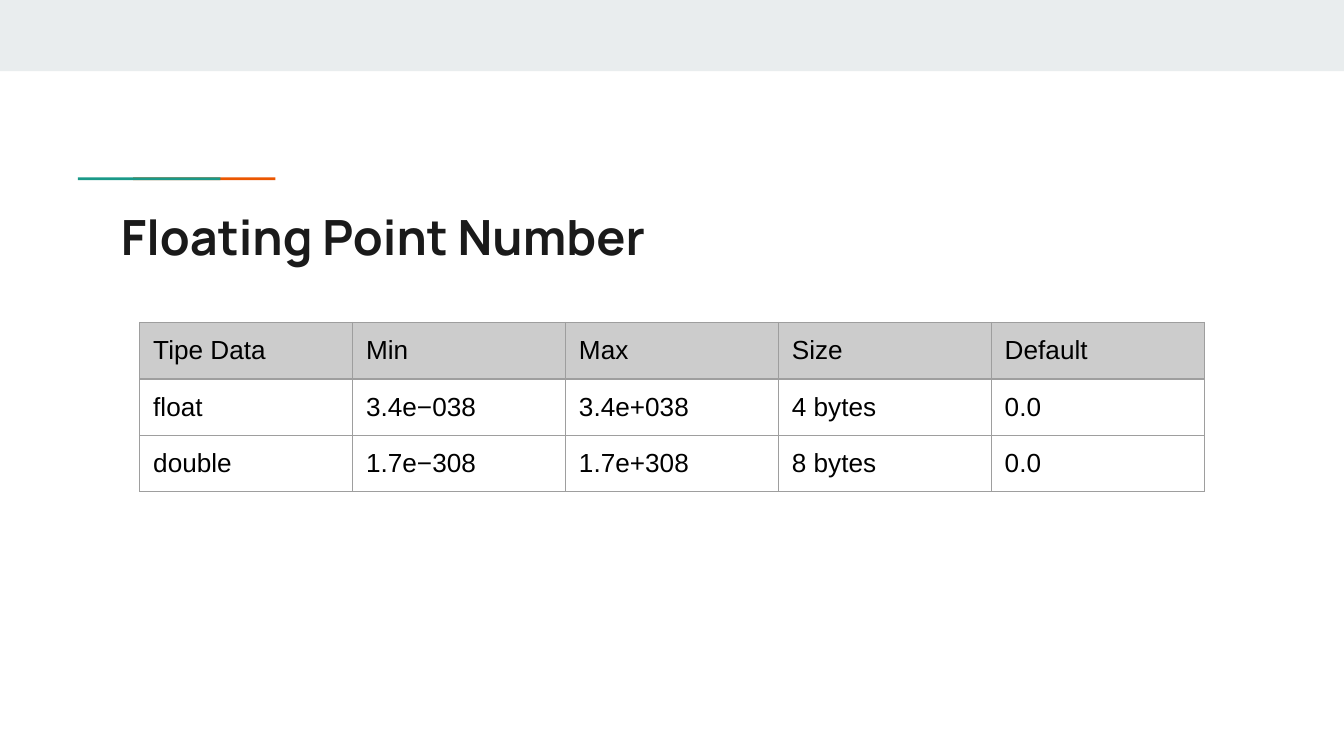
"""Build a slide with a table of floating point number types."""
import pptx
import pptx.dml.color
import pptx.enum.shapes
import pptx.enum.text
import pptx.oxml
import pptx.oxml.ns
import pptx.util

Inches = pptx.util.Inches
Pt = pptx.util.Pt

COLORS = {
    "band": "E9EDEE",
    "orange": "EB5600",
    "green": "1A9988",
    "title": "1A1A1A",
    "text": "000000",
    "header": "CCCCCC",
    "border": "9E9E9E",
}

TYPES = [
    ["Tipe Data", "Min", "Max", "Size", "Default"],
    ["float", "3.4e−038", "3.4e+038", "4 bytes", "0.0"],
    ["double", "1.7e−308", "1.7e+308", "8 bytes", "0.0"],
]


class SlideBuilder:
    def __init__(self, slide):
        self.slide = slide
        self.inset = Inches(0.1)
        self.border_width = Pt(0.75)

    def color(self, name):
        return pptx.dml.color.RGBColor.from_string(COLORS[name])

    def set_insets(self, owner):
        owner.margin_left = owner.margin_right = self.inset
        owner.margin_top = owner.margin_bottom = self.inset

    def add_run(self, paragraph, text, font, size, color, bold=False):
        run = paragraph.add_run()
        run.text = text
        run.font.name = font
        run.font.size = Pt(size)
        run.font.bold = bold
        run.font.color.rgb = self.color(color)

    def bar(self, left, top, width, height, color):
        bar = self.slide.shapes.add_shape(
            pptx.enum.shapes.MSO_SHAPE.RECTANGLE,
            Inches(left), Inches(top), Inches(width), Inches(height))
        bar.shadow.inherit = False
        bar.fill.solid()
        bar.fill.fore_color.rgb = self.color(color)
        bar.line.fill.background()

    def title(self, text, left, top, width, height):
        title = self.slide.shapes.title
        title.left, title.top = Inches(left), Inches(top)
        title.width, title.height = Inches(width), Inches(height)
        frame = title.text_frame
        frame.word_wrap = True
        frame.auto_size = pptx.enum.text.MSO_AUTO_SIZE.NONE
        frame.vertical_anchor = pptx.enum.text.MSO_ANCHOR.TOP
        self.set_insets(frame)
        paragraph = frame.paragraphs[0]
        paragraph.alignment = pptx.enum.text.PP_ALIGN.LEFT
        paragraph.line_spacing = 1.0
        paragraph.space_before = Pt(0)
        self.add_run(paragraph, text, "Manrope", 26, "title", bold=True)

    def outline_cell(self, cell):
        properties = cell._tc.get_or_add_tcPr()
        for position, side in enumerate(("lnL", "lnR", "lnT", "lnB")):
            border = pptx.oxml.parse_xml(
                f'<a:{side} {pptx.oxml.ns.nsdecls("a")} w="{self.border_width}">'
                f'<a:solidFill><a:srgbClr val="{COLORS["border"]}"/></a:solidFill>'
                f'</a:{side}>')
            properties.insert(position, border)

    def table(self, rows, left, top, width, row_height):
        columns = len(rows[0])
        table = self.slide.shapes.add_table(
            len(rows), columns, Inches(left), Inches(top),
            Inches(width), Inches(row_height * len(rows))).table
        table.horz_banding = False
        table.first_row = False
        for column in table.columns:
            column.width = Inches(width / columns)
        for row_index, values in enumerate(rows):
            table.rows[row_index].height = Inches(row_height)
            for column_index, value in enumerate(values):
                cell = table.cell(row_index, column_index)
                self.set_insets(cell)
                if row_index == 0:
                    cell.fill.solid()
                    cell.fill.fore_color.rgb = self.color("header")
                else:
                    cell.fill.background()
                self.outline_cell(cell)
                self.add_run(cell.text_frame.paragraphs[0], value, "Arial", 14, "text")


def main():
    deck = pptx.Presentation()
    deck.slide_width = Inches(10)
    deck.slide_height = deck.slide_width * 9 // 16
    builder = SlideBuilder(deck.slides.add_slide(deck.slide_layouts[5]))
    builder.bar(0, 0, 10, 0.53, "band")
    builder.bar(0.99, 1.32, 1.06, 0.02, "orange")
    builder.bar(0.58, 1.32, 1.06, 0.02, "green")
    builder.title("Floating Point Number", 0.8, 1.44, 8.41, 0.59)
    builder.table(TYPES, 1.04, 2.4, 7.92, 0.42)
    deck.save("out.pptx")


if __name__ == "__main__":
    main()
